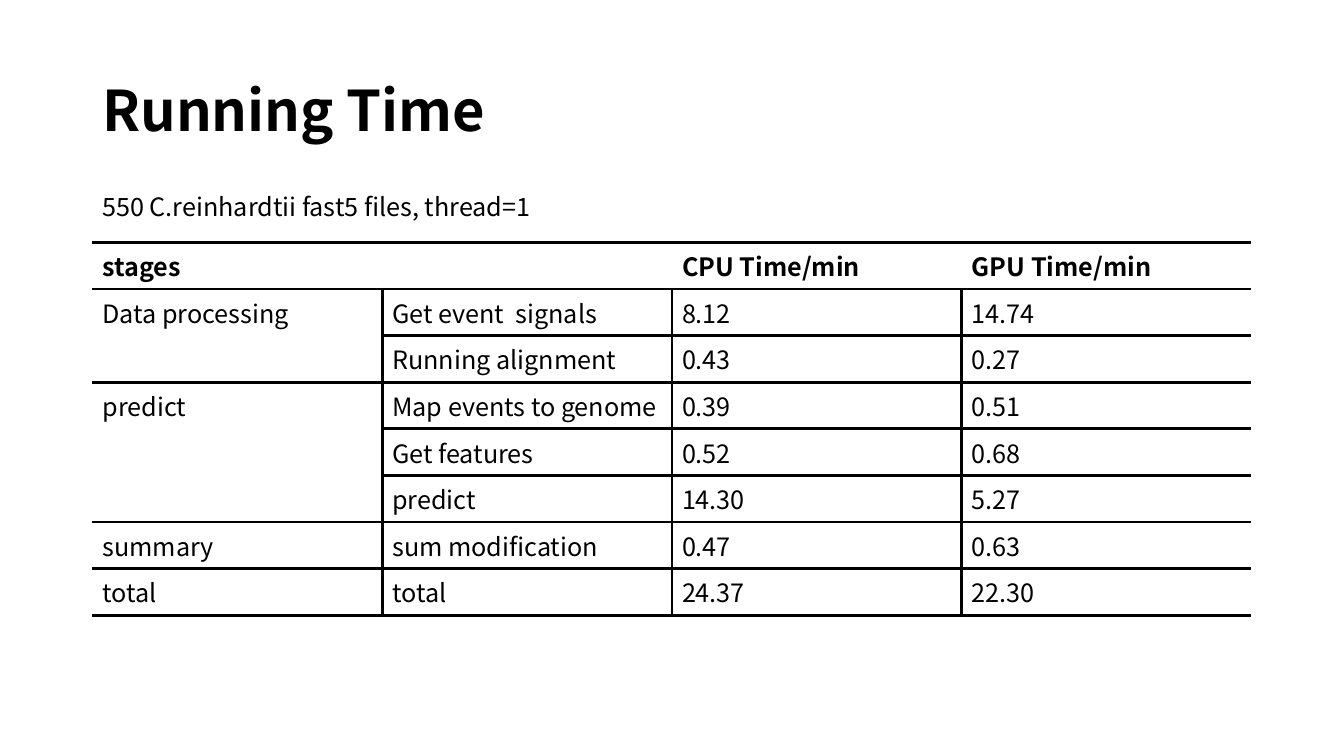
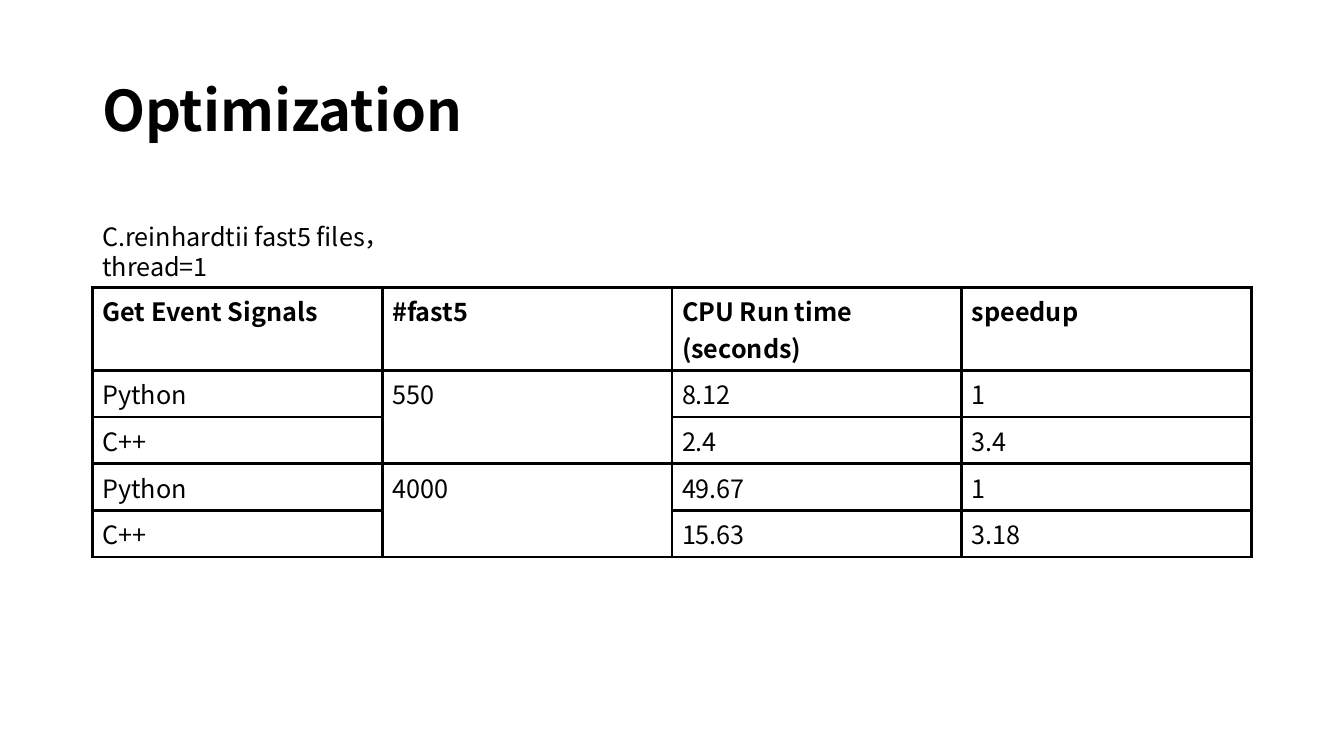
from dataclasses import dataclass

from lxml import etree
from pptx import Presentation
from pptx import oxml
from pptx.dml.color import RGBColor
from pptx.enum import text
from pptx.oxml import ns
from pptx.util import Pt


@dataclass(frozen=True)
class Theme:
    """Hold the colours, type sizes and measures of the deck."""
    font: str = "Noto Sans CJK SC"
    ink: str = "000000"
    paper: str = "FFFFFF"
    title: int = 40
    body: int = 18
    line: float = 2.25
    left: float = 66
    width: float = 828
    row: float = 33.3


def write(tf, content, theme, size=None, bold=False, spacing=None):
    """Write one formatted paragraph into a text frame."""
    p = tf.paragraphs[0]
    if spacing:
        p.line_spacing = spacing
    r = p.add_run()
    r.text = content
    r.font.name = theme.font
    r.font.size = Pt(size or theme.body)
    r.font.bold = bold
    r.font.color.rgb = RGBColor.from_string(theme.ink)
    ea = etree.SubElement(r.font._element, ns.qn("a:ea"))
    ea.set("typeface", theme.font)


class Deck:
    """Draw elements in one style on the current slide."""

    def __init__(self, theme):
        """Start an empty widescreen presentation."""
        self.theme = theme
        self.prs = Presentation()
        self.prs.slide_width, self.prs.slide_height = Pt(960), Pt(540)
        self.s = None

    def slide(self, title):
        """Add a blank slide with its title."""
        self.s = self.prs.slides.add_slide(self.prs.slide_layouts[6])
        fill = self.s.background.fill
        fill.solid()
        fill.fore_color.rgb = RGBColor.from_string(self.theme.paper)
        self.text(title, 28.75, self.theme.width, 104.4, anchor=text.MSO_ANCHOR.MIDDLE,
                  size=self.theme.title, bold=True, spacing=0.9)

    def text(self, content, top, width, height, anchor=text.MSO_ANCHOR.TOP, **fmt):
        """Add a wrapping text box at the left margin."""
        sp = self.s.shapes.add_textbox(Pt(self.theme.left), Pt(top), Pt(width), Pt(height))
        tf = sp.text_frame
        tf.word_wrap = True
        tf.vertical_anchor = anchor
        write(tf, content, self.theme, **fmt)

    def border(self, cell, sides):
        """Draw the given sides of a cell and clear the others."""
        tc_pr = cell._tc.get_or_add_tcPr()
        for i, side in enumerate("LRTB"):
            paint = (f'<a:solidFill><a:srgbClr val="{self.theme.ink}"/></a:solidFill>'
                     if side in sides else "<a:noFill/>")
            tc_pr.insert(i, oxml.parse_xml(
                f'<a:ln{side} {ns.nsdecls("a")} w="{Pt(self.theme.line)}">{paint}</a:ln{side}>'))

    def table(self, top, rows, merges, sides, header=None):
        """Add a table with equal columns, a bold header and ruled cells."""
        n, m = len(rows), len(rows[0])
        t = self.theme
        header = header or t.row
        height = header + (n - 1) * t.row
        tbl = self.s.shapes.add_table(n, m, Pt(t.left), Pt(top), Pt(t.width), Pt(height)).table
        tbl.horz_banding = False
        for i, row in enumerate(rows):
            tbl.rows[i].height = Pt(t.row if i else header)
            for j, value in enumerate(row):
                cell = tbl.cell(i, j)
                cell.fill.background()
                self.border(cell, sides(i, j, m))
                if value:
                    write(cell.text_frame, value, t, bold=i == 0)
                else:
                    cell.text_frame.paragraphs[0].font.size = Pt(t.body)
        for col, first, last in merges:
            tbl.cell(first, col).merge(tbl.cell(last, col))


def boxed(i, j, m):
    """Rule every side of every cell."""
    return "LRTB"


def open_sided(i, j, m):
    """Leave out the outer sides and the verticals of the header."""
    if i == 0:
        return "TB"
    return "TB" + ("L" if j else "") + ("R" if j < m - 1 else "")


RUNNING_TIME = [
    ("stages", "", "CPU Time/min", "GPU Time/min"),
    ("Data processing", "Get event  signals", "8.12", "14.74"),
    ("", "Running alignment", "0.43", "0.27"),
    ("predict", "Map events to genome", "0.39", "0.51"),
    ("", "Get features", "0.52", "0.68"),
    ("", "predict", "14.30", "5.27"),
    ("summary", "sum modification", "0.47", "0.63"),
    ("total", "total", "24.37", "22.30"),
]
OPTIMIZATION = [
    ("Get Event Signals", "#fast5", "CPU Run time (seconds)", "speedup"),
    ("Python", "550", "8.12", "1"),
    ("C++", "", "2.4", "3.4"),
    ("Python", "4000", "49.67", "1"),
    ("C++", "", "15.63", "3.18"),
]


def main():
    """Build both slides and save the deck."""
    deck = Deck(Theme())
    deck.slide("Running Time")
    deck.table(173.2, RUNNING_TIME, [(0, 1, 2), (0, 3, 5)], open_sided)
    deck.text("550 C.reinhardtii fast5 files, thread=1", 133.2, 455, 29)
    deck.slide("Optimization")
    deck.table(205.4, OPTIMIZATION, [(1, 1, 2), (1, 3, 4)], boxed, header=59.3)
    deck.text("C.reinhardtii fast5 files，thread=1", 154.6, 281.5, 29)
    deck.prs.save("out.pptx")


if __name__ == "__main__":
    main()
